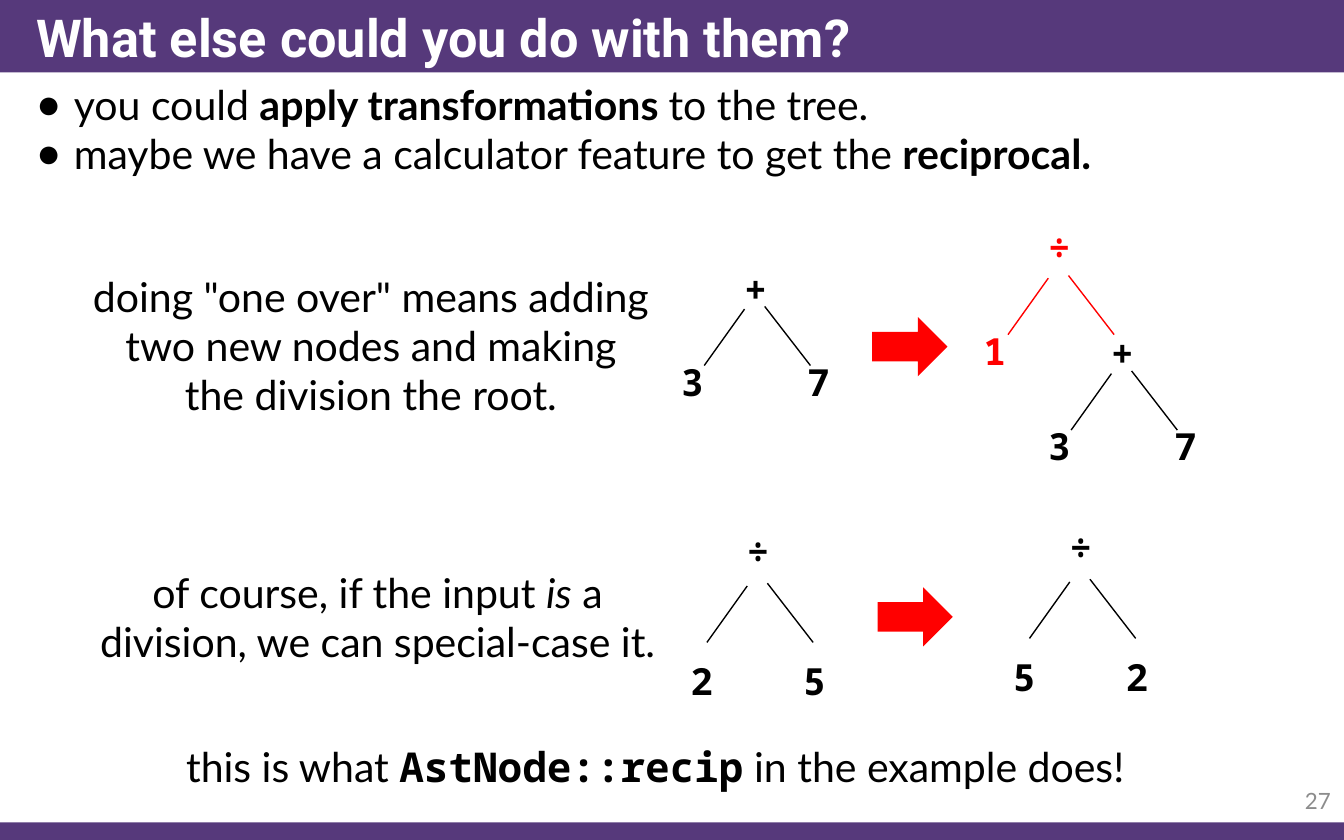
from dataclasses import dataclass
from typing import Optional

from pptx import Presentation
from pptx.dml.color import RGBColor
from pptx.enum.shapes import MSO_CONNECTOR, MSO_SHAPE
from pptx.enum.text import MSO_ANCHOR, MSO_AUTO_SIZE, PP_ALIGN
from pptx.oxml.ns import qn
from pptx.slide import Slide
from pptx.util import Inches, Pt

RECTANGLE, RIGHT_ARROW = MSO_SHAPE.RECTANGLE, MSO_SHAPE.RIGHT_ARROW
STRAIGHT = MSO_CONNECTOR.STRAIGHT
LEFT, CENTER, RIGHT = PP_ALIGN.LEFT, PP_ALIGN.CENTER, PP_ALIGN.RIGHT
TOP, MIDDLE = MSO_ANCHOR.TOP, MSO_ANCHOR.MIDDLE
FIXED, GROW = MSO_AUTO_SIZE.NONE, MSO_AUTO_SIZE.SHAPE_TO_FIT_TEXT


@dataclass(frozen=True)
class Theme:
    purple: RGBColor = RGBColor(0x56, 0x39, 0x7B)
    white: RGBColor = RGBColor(0xFF, 0xFF, 0xFF)
    black: RGBColor = RGBColor(0, 0, 0)
    red: RGBColor = RGBColor(0xFF, 0, 0)
    gray: RGBColor = RGBColor(0x8C, 0x8C, 0x8C)
    title_font: str = "Roboto"
    body_font: str = "Lato"
    code_font: str = "Noto Sans Mono"
    title_size: int = 28
    body_size: int = 22
    node_size: int = 20
    number_size: int = 12


THEME = Theme()


@dataclass(frozen=True)
class Box:
    left: float
    top: float
    width: float
    height: float

    def lengths(self) -> tuple:
        return tuple(Inches(v) for v in (self.left, self.top, self.width, self.height))


@dataclass(frozen=True)
class Span:
    text: str
    bold: bool = False
    italic: bool = False
    font: str = THEME.body_font


@dataclass(frozen=True)
class TreeStyle:
    spread: float
    depth: float
    branch_top: float
    color: RGBColor = THEME.black


@dataclass(frozen=True)
class Tree:
    left: float
    top: float
    operator: str
    left_child: str
    right_child: Optional[str]
    style: TreeStyle


SUM = TreeStyle(0.47, 0.69, 0.35)
DIVISION = TreeStyle(0.42, 0.97, 0.46)
NEW_ROOT = TreeStyle(0.48, 0.77, 0.43, THEME.red)

# Each group holds one drawn tree; the reciprocal's right child is the sum below it.
TREE_GROUPS = [
    [Tree(5.46, 3.88, "÷", "2", "5", DIVISION)],
    [Tree(7.86, 3.85, "÷", "5", "2", DIVISION)],
    [Tree(5.44, 1.93, "+", "3", "7", SUM)],
    [Tree(8.17, 2.41, "+", "3", "7", SUM),
     Tree(7.70, 1.62, "÷", "1", None, NEW_ROOT)],
]
ARROWS = [Box(6.49, 2.36, 0.56, 0.44), Box(6.53, 4.37, 0.56, 0.44)]
BARS = [Box(0, 6.12, 10, 0.13), Box(0, 0, 10, 0.54)]
BULLETS = [
    [Span("you could "), Span("apply transformations ", bold=True), Span("to the tree.")],
    [Span("maybe we have a calculator feature to get the "), Span("reciprocal.", bold=True)],
]
CAPTIONS = [
    (Box(0.58, 1.97, 4.36, 1.21),
     [Span('doing "one over" means adding two new nodes and making the division the root.')]),
    (Box(0.63, 4.17, 4.36, 0.84),
     [Span("of course, if the input "), Span("is", italic=True),
      Span(" a division, we can special-case it.")]),
    (Box(0.67, 5.47, 8.41, 0.47),
     [Span("this is what "), Span("AstNode::recip", bold=True, font=THEME.code_font),
      Span(" in the example does!")]),
]


def format_font(font, name: str, size: int, color: RGBColor, bold=False, italic=False) -> None:
    font.name, font.size, font.bold, font.italic = name, Pt(size), bold, italic
    font.color.rgb = color


def add_spans(paragraph, spans: list[Span]) -> None:
    for span in spans:
        run = paragraph.add_run()
        run.text = span.text
        format_font(run.font, span.font, THEME.body_size, THEME.black, span.bold, span.italic)


def add_text_box(shapes, box: Box, align, wrap=True, auto_size=GROW, anchor=TOP):
    """Add an empty text box and return its text frame."""
    text_frame = shapes.add_textbox(*box.lengths()).text_frame
    text_frame.word_wrap = wrap
    text_frame.auto_size = auto_size
    text_frame.vertical_anchor = anchor
    text_frame.paragraphs[0].alignment = align
    return text_frame


def add_filled_shape(slide: Slide, kind, box: Box, color: RGBColor):
    shape = slide.shapes.add_shape(kind, *box.lengths())
    shape.shadow.inherit = False
    shape.fill.solid()
    shape.fill.fore_color.rgb = color
    shape.line.fill.background()
    return shape


def add_node(shapes, left: float, top: float, label: str, color: RGBColor) -> None:
    text_frame = add_text_box(shapes, Box(left, top, 0.36, 0.44), CENTER, wrap=False)
    text_frame.text = label
    paragraph = text_frame.paragraphs[0]
    paragraph.alignment = CENTER
    format_font(paragraph.runs[0].font, THEME.code_font, THEME.node_size, color, bold=True)


def add_branch(shapes, start: tuple, end: tuple, color: RGBColor) -> None:
    connector = shapes.add_connector(STRAIGHT, *(Inches(v) for v in start + end))
    connector.line.color.rgb = color
    connector.line.width = Pt(0.75)
    properties = connector.element.spPr
    properties.append(properties.makeelement(qn("a:effectLst"), {}))


def add_tree(shapes, tree: Tree) -> None:
    style, left, top = tree.style, tree.left, tree.top
    child_top = top + style.depth
    add_node(shapes, left - style.spread, child_top, tree.left_child, style.color)
    if tree.right_child:
        add_node(shapes, left + style.spread, child_top, tree.right_child, style.color)
    add_node(shapes, left, top, tree.operator, style.color)
    branch_top = top + style.branch_top
    branch_bottom = branch_top + 0.44
    add_branch(shapes, (left - 0.2, branch_bottom), (left + 0.1, branch_top + 0.02), style.color)
    add_branch(shapes, (left + 0.59, branch_bottom), (left + 0.25, branch_top), style.color)


def place(placeholder, box: Box, anchor) -> None:
    placeholder.left, placeholder.top, placeholder.width, placeholder.height = box.lengths()
    placeholder.text_frame.auto_size = FIXED
    placeholder.text_frame.vertical_anchor = anchor


def fill_title(slide: Slide) -> None:
    title = slide.shapes.title
    place(title, Box(0.17, 0, 9.83, 0.54), MIDDLE)
    title.text_frame.text = "What else could you do with them?"
    paragraph = title.text_frame.paragraphs[0]
    paragraph.alignment = LEFT
    format_font(paragraph.runs[0].font, THEME.title_font, THEME.title_size, THEME.white, bold=True)


def fill_bullets(slide: Slide) -> None:
    body = slide.placeholders[1]
    place(body, Box(0.17, 0.54, 9.83, 0.92), TOP)
    for index, spans in enumerate(BULLETS):
        text_frame = body.text_frame
        paragraph = text_frame.add_paragraph() if index else text_frame.paragraphs[0]
        paragraph.space_before = Pt(0)
        properties = paragraph._p.get_or_add_pPr()
        properties.set("marL", str(Inches(0.28)))
        properties.set("indent", str(Inches(-0.28)))
        properties.append(properties.makeelement(qn("a:buChar"), {"char": "●"}))
        add_spans(paragraph, spans)


def add_slide_number(slide: Slide) -> None:
    text_frame = add_text_box(slide.shapes, Box(9.25, 5.79, 0.75, 0.33), RIGHT,
                              auto_size=FIXED, anchor=MIDDLE)
    text_frame.text = "27"
    paragraph = text_frame.paragraphs[0]
    paragraph.alignment = RIGHT
    format_font(paragraph.runs[0].font, THEME.body_font, THEME.number_size, THEME.gray)


def main() -> None:
    presentation = Presentation()
    presentation.slide_width, presentation.slide_height = Inches(10), Inches(6.25)
    slide = presentation.slides.add_slide(presentation.slide_layouts[1])
    for box in BARS:
        bar = add_filled_shape(slide, RECTANGLE, box, THEME.purple)
        slide.shapes.title.element.addprevious(bar.element)
    fill_title(slide)
    fill_bullets(slide)
    add_slide_number(slide)
    for trees in TREE_GROUPS:
        group = slide.shapes.add_group_shape()
        for tree in trees:
            add_tree(group.shapes, tree)
    for box in ARROWS:
        add_filled_shape(slide, RIGHT_ARROW, box, THEME.red)
    for box, spans in CAPTIONS:
        add_spans(add_text_box(slide.shapes, box, CENTER).paragraphs[0], spans)
    presentation.save("out.pptx")


if __name__ == "__main__":
    main()
